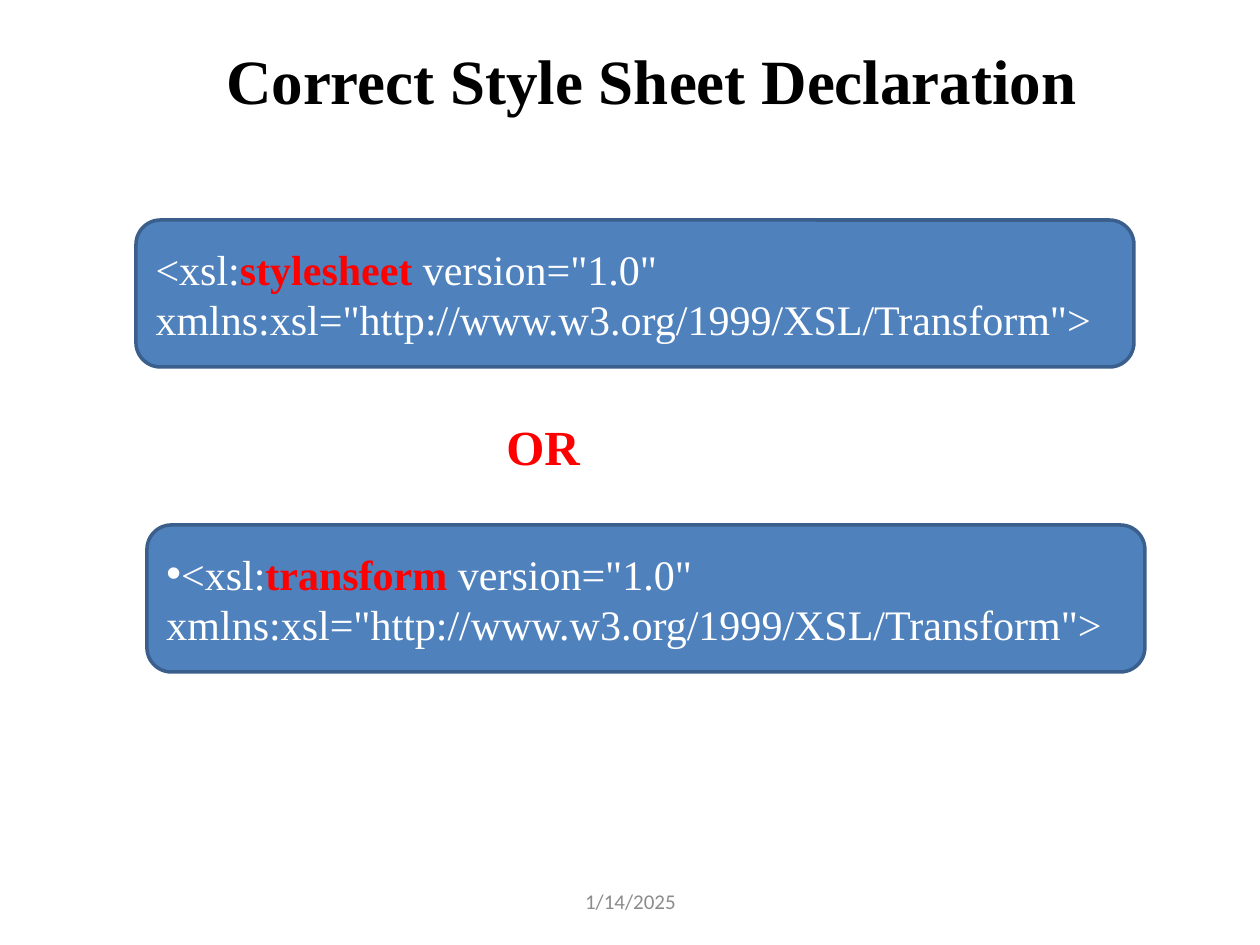
"""Build a slide that shows two correct XSL style sheet declarations."""
from lxml.etree import SubElement
from pptx import Presentation
from pptx.dml.color import RGBColor
from pptx.enum.shapes import MSO_SHAPE
from pptx.enum.text import MSO_ANCHOR, MSO_AUTO_SIZE, PP_ALIGN
from pptx.oxml.ns import qn
from pptx.util import Pt

PX_PER_INCH = 126
EMU_PER_PX = 914400 / PX_PER_INCH

BLACK = RGBColor(0x00, 0x00, 0x00)
WHITE = RGBColor(0xFF, 0xFF, 0xFF)
RED = RGBColor(0xFF, 0x00, 0x00)
GRAY = RGBColor(0x8C, 0x8C, 0x8C)
BLUE = RGBColor(0x4F, 0x81, 0xBD)
DARK_BLUE = RGBColor(0x3A, 0x5F, 0x8C)

SERIF = "Times New Roman"
SANS = "Calibri"


def px(*lengths):
    return [round(length * EMU_PER_PX) for length in lengths]


def add_text(para, text, *, size, color, bold=False, font=SERIF):
    for index, line in enumerate(text.split("\n")):
        if index:
            para.add_line_break()
        span = para.add_run()
        span.text = line
        span.font.name = font
        span.font.size = Pt(size)
        span.font.bold = bold
        span.font.color.rgb = color


class SlideBuilder:
    def __init__(self, page):
        self.page = page
        self.fill = BLUE
        self.outline = DARK_BLUE
        self.outline_width = Pt(2)
        self.code_size = 24

    def label(self, text, place, *, align=PP_ALIGN.LEFT, anchor=MSO_ANCHOR.MIDDLE,
              auto_size=MSO_AUTO_SIZE.NONE, **style):
        box = self.page.shapes.add_textbox(*px(*place))
        frame = box.text_frame
        frame.word_wrap = True
        frame.auto_size = auto_size
        frame.vertical_anchor = anchor
        para = frame.paragraphs[0]
        para.alignment = align
        add_text(para, text, **style)

    def declaration(self, element, place, *, bullet=None):
        box = self.page.shapes.add_shape(MSO_SHAPE.ROUNDED_RECTANGLE, *px(*place))
        box.shadow.inherit = False
        box.fill.solid()
        box.fill.fore_color.rgb = self.fill
        box.line.color.rgb = self.outline
        box.line.width = self.outline_width
        frame = box.text_frame
        frame.word_wrap = True
        frame.vertical_anchor = MSO_ANCHOR.MIDDLE
        para = frame.paragraphs[0]
        para.alignment = PP_ALIGN.LEFT
        if bullet:
            properties = para._p.get_or_add_pPr()
            SubElement(properties, qn("a:buFont"), typeface="Arial")
            SubElement(properties, qn("a:buChar"), char=bullet)
        add_text(para, "<xsl:", size=self.code_size, color=WHITE)
        add_text(para, element, size=self.code_size, color=RED, bold=True)
        add_text(para, ' version="1.0"\nxmlns:xsl="http://www.w3.org/1999/XSL/Transform">',
                 size=self.code_size, color=WHITE)


def main():
    deck = Presentation()
    deck.slide_width, deck.slide_height = px(1260, 945)
    builder = SlideBuilder(deck.slides.add_slide(deck.slide_layouts[6]))

    builder.label("1/14/2025", (431, 876, 399, 50), align=PP_ALIGN.CENTER,
                  size=12, color=GRAY, font=SANS)
    builder.label("Correct Style Sheet Declaration", (116, 32, 1071, 94),
                  align=PP_ALIGN.CENTER, size=36, color=BLACK, bold=True)
    builder.declaration("stylesheet", (136, 220, 998, 147))
    builder.declaration("transform", (147, 525, 998, 147), bullet="•")
    builder.label("OR", (494, 410, 189, 72), anchor=MSO_ANCHOR.TOP,
                  auto_size=MSO_AUTO_SIZE.SHAPE_TO_FIT_TEXT,
                  size=28, color=RED, bold=True)

    deck.save("out.pptx")


if __name__ == "__main__":
    main()
